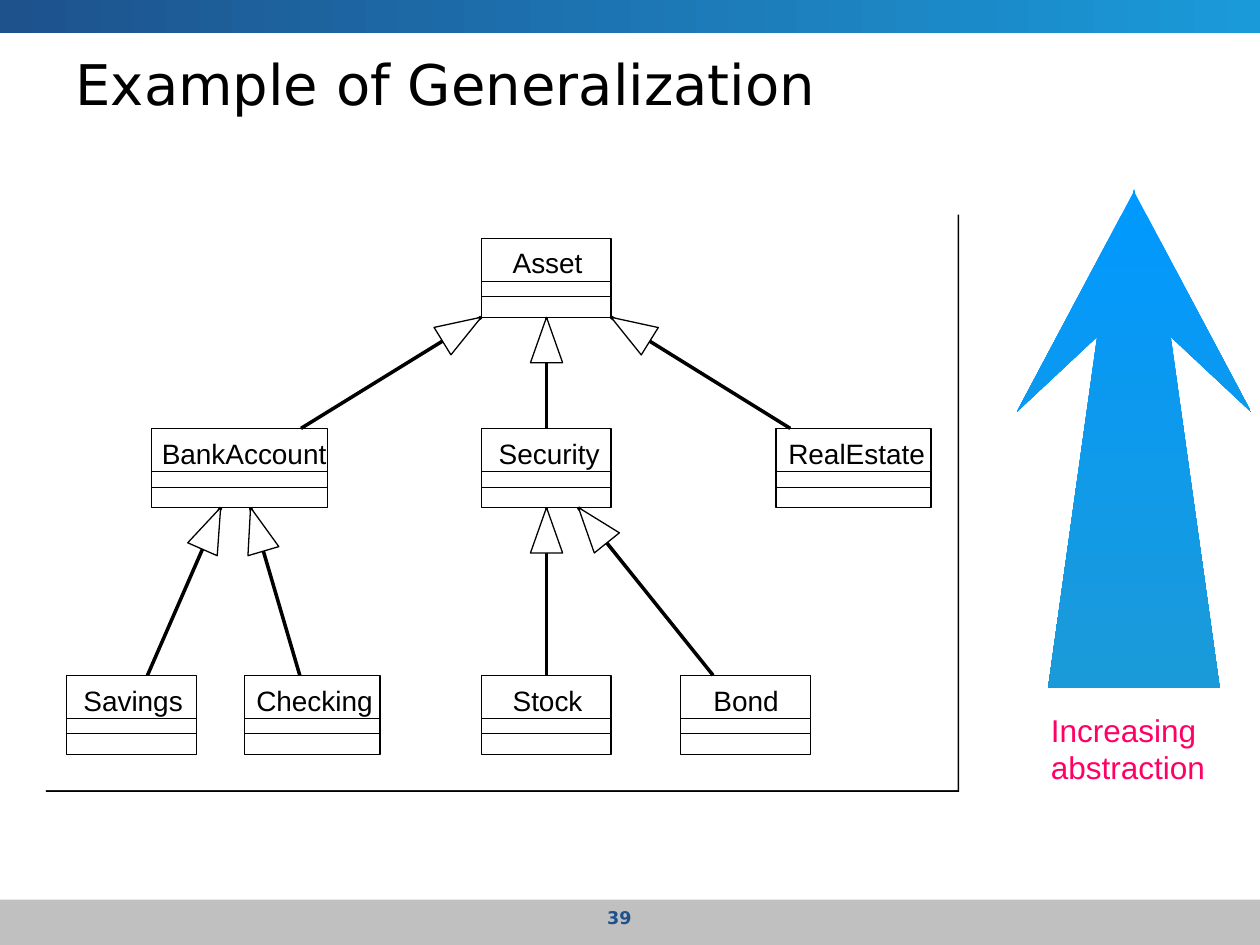
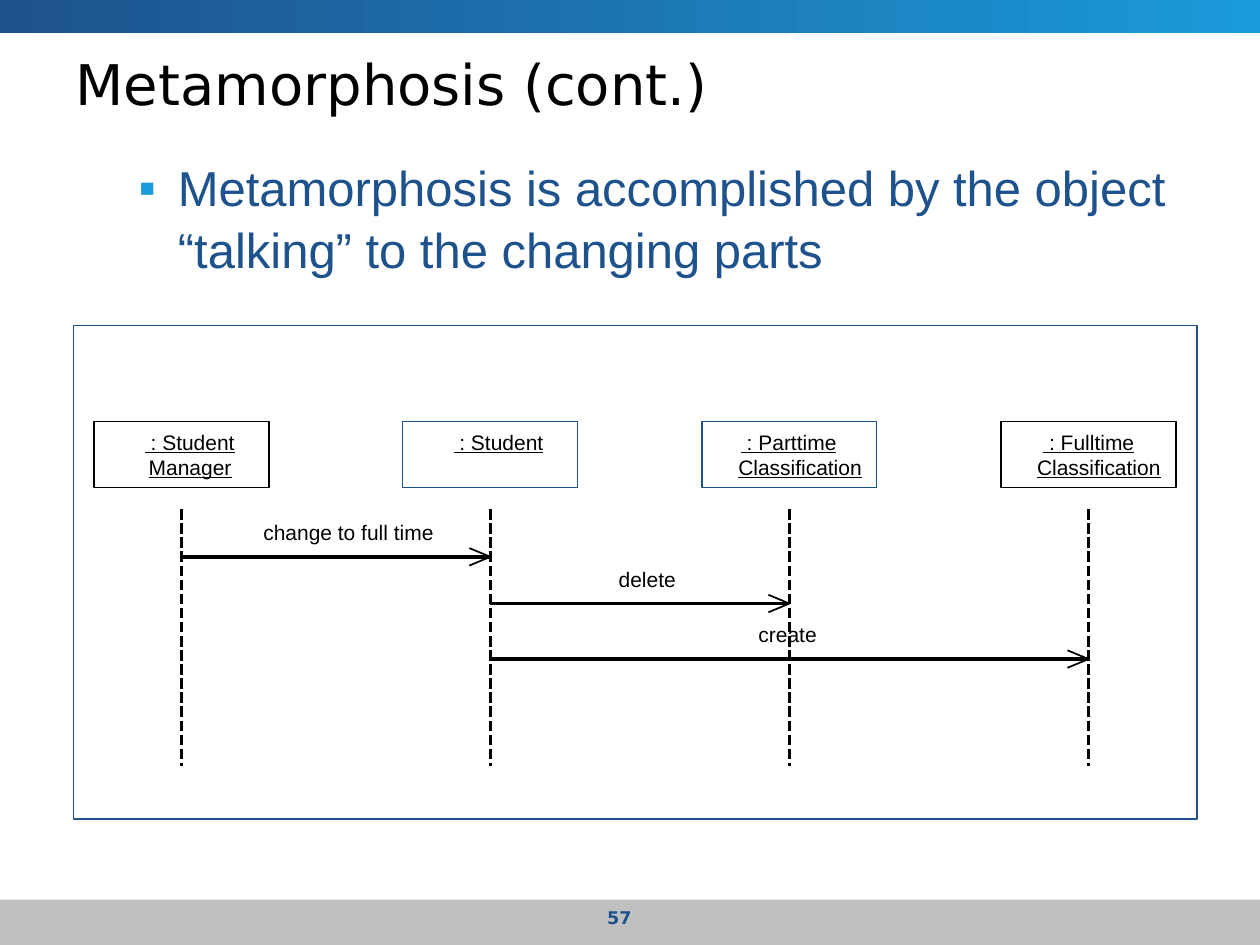
from math import hypot

from lxml.etree import SubElement
from pptx import Presentation
from pptx.dml.color import RGBColor
from pptx.enum.dml import MSO_LINE
from pptx.enum.shapes import MSO_CONNECTOR, MSO_SHAPE
from pptx.enum.text import MSO_ANCHOR, PP_ALIGN
from pptx.oxml.ns import qn
from pptx.util import Pt

NAVY, SKY, AZURE, PINK = "1D528D", "1B9AD9", "0099FF", "FF0066"
BLACK, WHITE, GRAY = "000000", "FFFFFF", "C0C0C0"
SANS, HEAD = "Arial", "DejaVu Sans"
WIDE, HIGH = 720, 540

# Class tree: name -> left, row, width, left of label
ROWS = (136.1, 244.8, 385.9)
CLASSES = {
    "Asset": (275, 0, 74.2, 293),
    "RealEstate": (443.5, 1, 88.6, 450.5),
    "Savings": (38, 2, 74.2, 47.7),
    "BankAccount": (86.4, 1, 100.8, 92.5),
    "Checking": (139.7, 2, 77.4, 146.5),
    "Stock": (275, 2, 74.2, 293),
    "Security": (275, 1, 74.2, 285),
    "Bond": (388.8, 2, 74.2, 407.7),
}
BOX_H = 45.2
DIVIDERS = (24.5, 33.4)
# child, x where the line starts, parent, x of the tip
LINKS = [
    ("Bond", 407.5, "Security", 330.5),
    ("Stock", 312.3, "Security", 312.3),
    ("Checking", 171.3, "BankAccount", 143.2),
    ("Savings", 84.3, "BankAccount", 126.1),
    ("BankAccount", 172, "Asset", 275),
    ("RealEstate", 451.6, "Asset", 349.2),
    ("Security", 312.3, "Asset", 312.3),
]
HEAD_LEN, HEAD_HALF = 26, 9.2
# Half of the big arrow: distance from its axis, y
AXIS = 648
HALF = [(-0.7, 108), (-0.7, 393), (49, 393), (21, 192.5), (67, 235.5)]

# Sequence: lifeline x, outline, label lines with their lefts
ROLES = [
    (103.7, BLACK, [(" : Student", 82.8), ("Manager", 85)]),
    (280.2, NAVY, [(" : Student", 259.2)]),
    (451.1, NAVY, [(" : Parttime", 423.4), ("Classification", 421.9)]),
    (622, BLACK, [(" : Fulltime", 596.2), ("Classification", 592.6)]),
]
# text, from role, to role, y, left of label
CALLS = [
    ("delete", 1, 2, 344.9, 353.5),
    ("create", 1, 3, 376.6, 433.4),
    ("change to full time", 0, 1, 318.2, 150.5),
]
POINT = "Metamorphosis is accomplished by the object “talking” to the changing parts"


def color(code):
    return RGBColor.from_string(code)


def blend(shape, first, last, angle):
    """Fill with two colours; the angle runs counter-clockwise."""
    shape.fill.gradient()
    shape.fill.gradient_angle = angle
    for stop, code, place in zip(shape.fill.gradient_stops, (first, last), (0, 1)):
        stop.color.rgb = color(code)
        stop.position = place


def style(shape, fill=None, line=None, width=0):
    shape.shadow.inherit = False
    if fill:
        shape.fill.solid()
        shape.fill.fore_color.rgb = color(fill)
    else:
        shape.fill.background()
    if line:
        shape.line.color.rgb = color(line)
        shape.line.width = Pt(width)
    else:
        shape.line.fill.background()
    return shape


def rect(slide, x, y, w, h, **look):
    shape = slide.shapes.add_shape(MSO_SHAPE.RECTANGLE, Pt(x), Pt(y), Pt(w), Pt(h))
    return style(shape, **look)


def outline(slide, points, **look):
    points = [(Pt(x), Pt(y)) for x, y in points]
    pen = slide.shapes.build_freeform(*points[0])
    pen.add_line_segments(points[1:], close=True)
    return style(pen.convert_to_shape(), **look)


def line(slide, x1, y1, x2, y2, width=0):
    link = slide.shapes.add_connector(
        MSO_CONNECTOR.STRAIGHT, Pt(x1), Pt(y1), Pt(x2), Pt(y2))
    link.line.color.rgb = color(BLACK)
    link.line.width = Pt(width)
    SubElement(link._element.spPr, qn("a:effectLst"))
    return link


def text(slide, words, x, y, w, h, size, code=BLACK, face=SANS, bold=None,
         under=None, align=None, anchor=MSO_ANCHOR.TOP):
    frame = slide.shapes.add_textbox(Pt(x), Pt(y), Pt(w), Pt(h)).text_frame
    frame.margin_left = frame.margin_right = 0
    frame.margin_top = frame.margin_bottom = 0
    frame.word_wrap = True
    frame.vertical_anchor = anchor
    frame.text = words
    for para in frame.paragraphs:
        para.alignment = align
        font = para.font
        font.size, font.name, font.bold, font.underline = Pt(size), face, bold, under
        font.color.rgb = color(code)
    return frame


def start(deck, title, number):
    """Add a slide with its bands, title and number."""
    slide = deck.slides.add_slide(deck.slide_layouts[6])
    rect(slide, 0, 514, WIDE, 26, fill=GRAY)
    blend(rect(slide, 0, 0, WIDE, 18.7), NAVY, SKY, 0)
    text(slide, title, 43.2, 25.2, 633.6, 44.6, 32, face=HEAD,
         anchor=MSO_ANCHOR.MIDDLE)
    text(slide, str(number), 270, 518.4, 167.8, 13, 10, NAVY, HEAD, bold=True,
         align=PP_ALIGN.CENTER)
    return slide


def cast(shape):
    """Give a sharp black shadow to the lower right."""
    effects = shape._element.spPr.find(qn("a:effectLst"))
    shade = SubElement(effects, qn("a:outerShdw"), blurRad="0",
                       dist=str(Pt(1.4)), dir="2700000", algn="ctr", rotWithShape="0")
    SubElement(shade, qn("a:srgbClr"), val=BLACK)


def inherit(slide, child, x1, parent, x2):
    """Link a child to its parent with a hollow triangle."""
    y1 = ROWS[CLASSES[child][1]]
    y2 = ROWS[CLASSES[parent][1]] + BOX_H
    line(slide, x1, y1, x2, y2)
    span = hypot(x1 - x2, y1 - y2)
    dx, dy = (x1 - x2) / span, (y1 - y2) / span
    base = [(x2 + dx * HEAD_LEN - side * dy * HEAD_HALF,
             y2 + dy * HEAD_LEN + side * dx * HEAD_HALF) for side in (-1, 1)]
    outline(slide, [(x2, y2), *base], fill=WHITE, line=BLACK)


def tree(deck):
    slide = start(deck, "Example of Generalization", 39)
    for side in (-1, 1):
        half = outline(slide, [(AXIS + side * x, y) for x, y in HALF])
        blend(half, AZURE, SKY, 270)
    text(slide, "Increasing\nabstraction", 600.5, 406.1, 100, 43, 18, PINK)
    cast(rect(slide, 25.2, 121.7, 522, 329.8, fill=WHITE))
    for name, (left, row, width, label) in CLASSES.items():
        top = ROWS[row]
        rect(slide, left, top, width, BOX_H, line=BLACK)
        text(slide, name, label, top + 4.5, 100, 19.4, 16)
        for drop in DIVIDERS:
            line(slide, left, top + drop, left + width, top + drop, 0.37)
    for link in LINKS:
        inherit(slide, *link)


def bullet(para):
    props = para._p.get_or_add_pPr()
    props.set("marL", str(Pt(58.5)))
    props.set("indent", str(Pt(-22.5)))
    tint = SubElement(props, qn("a:buClr"))
    SubElement(tint, qn("a:srgbClr"), val=SKY)
    SubElement(props, qn("a:buFont"), typeface=SANS)
    SubElement(props, qn("a:buChar"), char="▪")


def sequence(deck):
    slide = start(deck, "Metamorphosis (cont.)", 57)
    rect(slide, 41.8, 185.8, 642.2, 282.2, fill=WHITE, line=NAVY, width=0.75)
    for x, edge, labels in ROLES:
        rect(slide, x - 50, 241, 100, 37.6, line=edge)
        for row, (words, left) in enumerate(labels):
            text(slide, words, left, 245.5 + 14.2 * row, 80, 14.4, 12, under=True)
        line(slide, x, 291, x, 437.8).line.dash_style = MSO_LINE.SQUARE_DOT
    for words, source, target, y, left in CALLS:
        tip = ROLES[target][0]
        line(slide, ROLES[source][0], y, tip, y)
        for rise in (5, -5):
            line(slide, tip, y, tip - 12, y + rise, 1)
        text(slide, words, left, y - 21.4, 110, 14.4, 12)
    body = text(slide, POINT, 43.2, 88.6, 633.6, 72, 28, NAVY)
    para = body.paragraphs[0]
    bullet(para)
    para.line_spacing = 1.05


def main():
    deck = Presentation()
    deck.slide_width, deck.slide_height = Pt(WIDE), Pt(HIGH)
    tree(deck)
    sequence(deck)
    deck.save("out.pptx")


if __name__ == "__main__":
    main()
